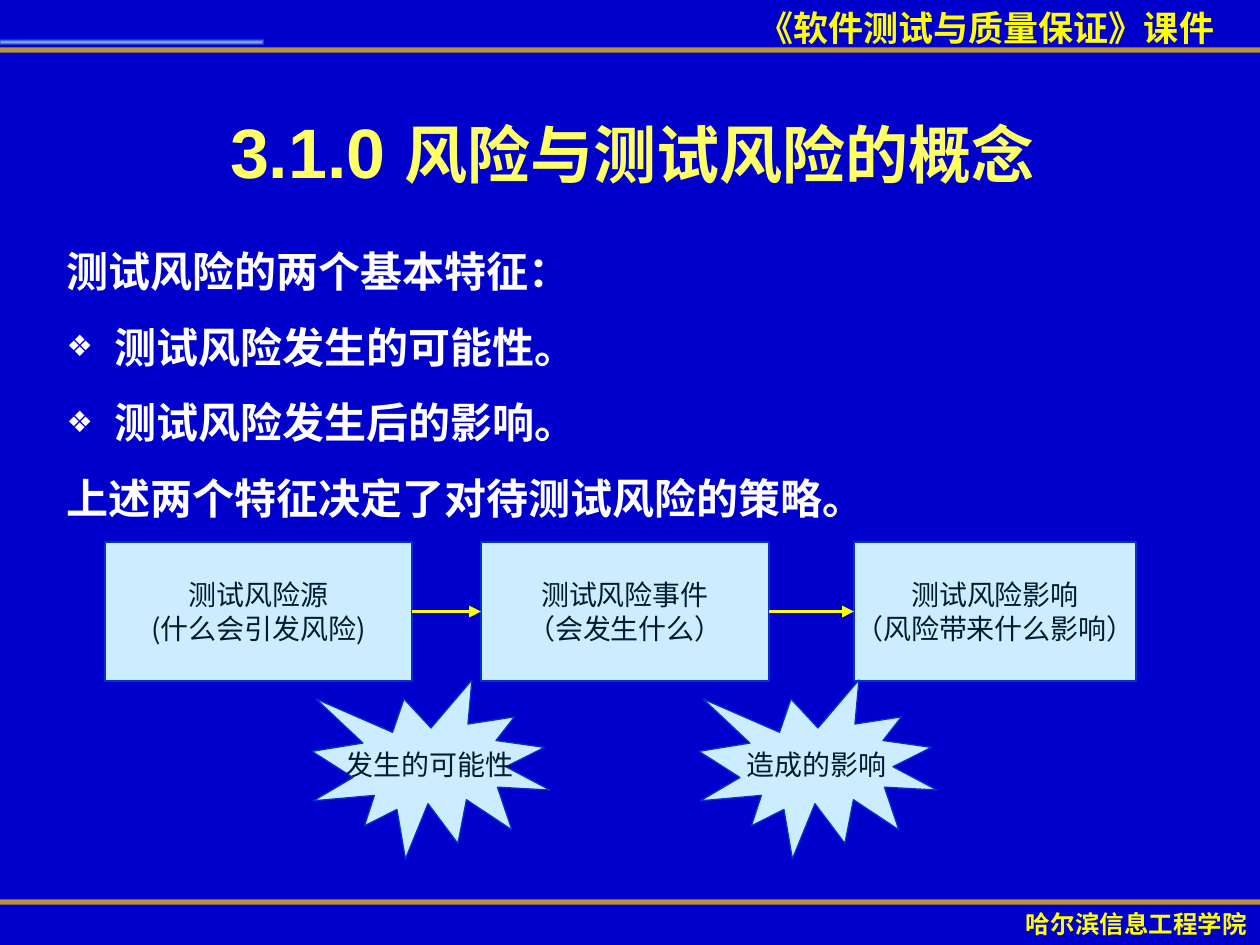
from lxml.etree import SubElement
from pptx import Presentation
from pptx.dml.color import RGBColor
from pptx.enum.shapes import MSO_CONNECTOR, MSO_SHAPE
from pptx.enum.text import MSO_ANCHOR, MSO_AUTO_SIZE, PP_ALIGN
from pptx.oxml import parse_xml
from pptx.oxml.ns import nsdecls, qn
from pptx.util import Emu, Pt

PX = 914400 / 126
WHITE, YELLOW, PALE_BLUE = "FFFFFF", "FFFF00", "CCECFF"


def px(*lengths):
    """Turn whole pixels into a list of EMU lengths."""
    return [Emu(round(length * PX)) for length in lengths]


def paint(color_format, value):
    color_format.rgb = RGBColor.from_string(value)


deck = Presentation()
deck.slide_width, deck.slide_height = px(1260, 945)
page = deck.slides.add_slide(deck.slide_layouts[1])
page.background.fill.solid()
paint(page.background.fill.fore_color, "0000CC")

# Gold rules at the top and bottom
for y, right in [(50, 1265), (902, 1260)]:
    rule = page.shapes.add_connector(MSO_CONNECTOR.STRAIGHT, *px(0, y, right, y))
    paint(rule.line.color, "FFCC00")
    rule.line.width = Pt(3)
    gold = rule.line._ln.find(".//" + qn("a:srgbClr"))
    SubElement(gold, qn("a:alpha"), val="72000")
    SubElement(rule._element.spPr, qn("a:effectLst"))

# Glowing bar at the top left
bar = page.shapes.add_shape(MSO_SHAPE.RECTANGLE, *px(0, 40, 263, 5))
bar.shadow.inherit = False
bar.line.fill.background()
bar._element.spPr.find(qn("a:prstGeom")).addnext(parse_xml(
    f'<a:gradFill {nsdecls("a")}><a:gsLst>'
    '<a:gs pos="0"><a:srgbClr val="C3EBFF"><a:alpha val="82000"/></a:srgbClr></a:gs>'
    '<a:gs pos="100000"><a:srgbClr val="66CCFF"><a:alpha val="18000"/></a:srgbClr></a:gs>'
    '</a:gsLst><a:path path="rect">'
    '<a:fillToRect l="50000" t="50000" r="50000" b="50000"/></a:path></a:gradFill>'))

# Header and footer labels
for text, place, size, align in [
    ("《软件测试与质量保证》课件", (746, 0, 649, 55), 20, PP_ALIGN.LEFT),
    ("哈尔滨信息工程学院", (988, 903, 297, 43), 14, PP_ALIGN.CENTER),
]:
    label = page.shapes.add_textbox(*px(*place)).text_frame
    label.word_wrap = True
    para = label.paragraphs[0]
    para.text, para.alignment = text, align
    para.font.name, para.font.size, para.font.bold = "Arial", Pt(size), True
    paint(para.font.color, YELLOW)

# Title
title = page.shapes.title
title.left, title.top, title.width, title.height = px(44, 96, 1177, 110)
title.text_frame.auto_size = MSO_AUTO_SIZE.NONE
title.text_frame.vertical_anchor = MSO_ANCHOR.MIDDLE
para = title.text_frame.paragraphs[0]
para.alignment = PP_ALIGN.CENTER
para.font.name, para.font.bold = "Arial", True
paint(para.font.color, "FFFF66")
for text, size in [("3.1.0 ", 40), ("风险与测试风险的概念", 36)]:
    span = para.add_run()
    span.text, span.font.size = text, Pt(size)

# Body list
body = page.placeholders[1]
body.left, body.top, body.width, body.height = px(54, 214, 1177, 556)
frame = body.text_frame
frame.auto_size = MSO_AUTO_SIZE.NONE
body_lines = [
    ("测试风险的两个基本特征：", False),
    ("测试风险发生的可能性。", True),
    ("测试风险发生后的影响。", True),
    ("上述两个特征决定了对待测试风险的策略。", False),
]
for number, (text, bulleted) in enumerate(body_lines):
    para = frame.add_paragraph() if number else frame.paragraphs[0]
    para.text = text
    para.line_spacing, para.space_before = 1.5, Pt(0)
    properties = para._p.get_or_add_pPr()
    indent = px(48)[0]
    properties.set("marL", str(indent))
    properties.set("indent", str(-indent))
    if bulleted:
        bullet_color = SubElement(properties, qn("a:buClr"))
        SubElement(bullet_color, qn("a:srgbClr"), val=WHITE)
        SubElement(properties, qn("a:buSzPct"), val="70000")
        SubElement(properties, qn("a:buChar"), char="❖")
    else:
        SubElement(properties, qn("a:buNone"))
    para.font.name, para.font.size, para.font.bold = "Arial", Pt(24), True
    paint(para.font.color, WHITE)

# Risk chain: three boxes and two bursts
BOX, BURST = MSO_SHAPE.FLOWCHART_PROCESS, MSO_SHAPE.EXPLOSION1
chain = []
for kind, place, lines in [
    (BOX, (105, 542, 307, 139), ["测试风险源", "(什么会引发风险)"]),
    (BOX, (481, 542, 288, 139), ["测试风险事件", "（会发生什么）"]),
    (BOX, (854, 542, 282, 139), ["测试风险影响", "（风险带来什么影响）"]),
    (BURST, (312, 680, 238, 179), ["发生的可能性"]),
    (BURST, (699, 680, 238, 179), ["造成的影响"]),
]:
    shape = page.shapes.add_shape(kind, *px(*place))
    shape.shadow.inherit = False
    shape.fill.solid()
    paint(shape.fill.fore_color, PALE_BLUE)
    paint(shape.line.color, "0033CC")
    shape.line.width = Pt(0.75)
    frame = shape.text_frame
    frame.word_wrap = False
    frame.vertical_anchor = MSO_ANCHOR.MIDDLE
    frame.text = "\n".join(lines)
    for para in frame.paragraphs:
        para.alignment = PP_ALIGN.CENTER
        para.font.name, para.font.size = "Noto Sans CJK SC", Pt(16)
        paint(para.font.color, "001D2E")
    if kind == BOX:
        chain.append(shape)

# Arrows between neighbouring boxes
for source, target in zip(chain, chain[1:]):
    arrow = page.shapes.add_connector(MSO_CONNECTOR.STRAIGHT, 0, 0, 0, 0)
    arrow.begin_connect(source, 3)
    arrow.end_connect(target, 1)
    paint(arrow.line.color, YELLOW)
    arrow.line.width = Pt(2.25)
    SubElement(arrow.line._ln, qn("a:tailEnd"), type="triangle")
    SubElement(arrow._element.spPr, qn("a:effectLst"))

deck.save("out.pptx")
